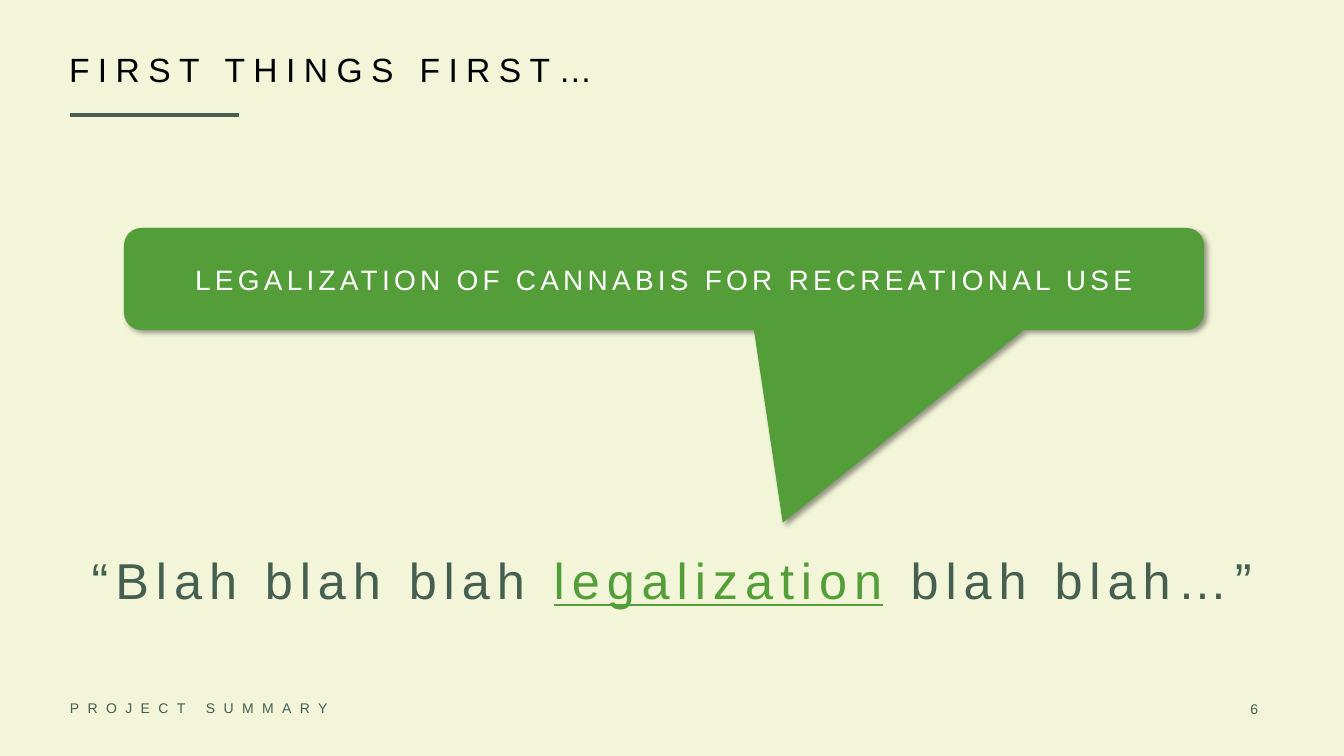
import pptx
import pptx.util
import pptx.dml.color
import pptx.enum.shapes
import pptx.enum.text
import lxml.etree

PX = 914400 / 100.8
SIZE = (1344, 756)
CREAM, GREEN, PINE, BLACK, WHITE = "F2F5D8", "549E39", "455F51", "000000", "FFFFFF"
ALIGN = pptx.enum.text.PP_ALIGN
ANCHOR = pptx.enum.text.MSO_ANCHOR
SHAPE = pptx.enum.shapes.MSO_SHAPE

TITLE = {
    "box": (59, 48, 1159, 54),
    "runs": [("FIRST THINGS FIRST…", BLACK)],
    "size": 24, "gap": 6, "anchor": ANCHOR.TOP,
    "para": {"alignment": ALIGN.LEFT, "line_spacing": 0.9},
}
CALLOUT = {
    "box": (124, 228, 1080, 102),
    "runs": [("LEGALIZATION OF CANNABIS FOR RECREATIONAL USE", WHITE)],
    "size": 20, "gap": 3, "anchor": ANCHOR.MIDDLE,
    "para": {"alignment": ALIGN.CENTER},
}
POINTER = (0.11, 2.39, 0.17)
NOTES = [
    {
        "box": (61, 514, 1222, 91),
        "runs": [("“Blah blah blah ", PINE), ("legalization", GREEN), (" blah blah…”", PINE)],
        "size": 36, "gap": 5, "anchor": ANCHOR.TOP,
        "para": {"alignment": ALIGN.CENTER, "line_spacing": 1.5},
    },
    {
        "box": (60, 693, 454, 29),
        "runs": [("PROJECT SUMMARY", PINE)],
        "size": 10, "gap": 6, "anchor": ANCHOR.MIDDLE,
        "para": {"alignment": ALIGN.LEFT},
    },
    {
        "box": (1167, 694, 101, 29),
        "runs": [("6", PINE)],
        "size": 10, "gap": 6, "anchor": ANCHOR.MIDDLE,
        "para": {"alignment": ALIGN.RIGHT},
    },
]
RULE = (70, 115, 239, 115)
SHADOW = {"blur": 4, "dist": 3, "angle": 45, "alpha": 40}


def emu(*lengths):
    return [round(n * PX) for n in lengths]


def color(code):
    return pptx.dml.color.RGBColor.from_string(code)


def apply(target, values):
    for name, value in values.items():
        setattr(target, name, value)


def write(shape, item):
    frame = shape.text_frame
    apply(frame, {
        "word_wrap": True,
        "auto_size": pptx.enum.text.MSO_AUTO_SIZE.NONE,
        "vertical_anchor": item["anchor"],
    })
    para = frame.paragraphs[0]
    apply(para, item["para"])
    for text, code in item["runs"]:
        run = para.add_run()
        run.text = text
        apply(run.font, {
            "name": "Arial",
            "size": pptx.util.Pt(item["size"]),
            "underline": code == GREEN,
        })
        run.font.color.rgb = color(code)
        run.font._element.set("spc", str(item["gap"] * 100))


def effects(shape):
    """Add an empty effect list, which turns off the theme shadow."""
    space = pptx.oxml.ns.qn("a:effectLst")
    return lxml.etree.SubElement(shape._element.spPr, space)


def shade(shape):
    qn = pptx.oxml.ns.qn
    outer = lxml.etree.SubElement(effects(shape), qn("a:outerShdw"), {
        "blurRad": str(pptx.util.Pt(SHADOW["blur"])),
        "dist": str(pptx.util.Pt(SHADOW["dist"])),
        "dir": str(SHADOW["angle"] * 60000),
        "algn": "tl", "rotWithShape": "0",
    })
    tint = lxml.etree.SubElement(outer, qn("a:srgbClr"), val=BLACK)
    lxml.etree.SubElement(tint, qn("a:alpha"), val=str(SHADOW["alpha"] * 1000))


def main():
    deck = pptx.Presentation()
    deck.slide_width, deck.slide_height = emu(*SIZE)
    slide = deck.slides.add_slide(deck.slide_layouts[5])
    slide.background.fill.solid()
    slide.background.fill.fore_color.rgb = color(CREAM)

    title = slide.shapes.title
    apply(title, dict(zip(("left", "top", "width", "height"), emu(*TITLE["box"]))))
    write(title, TITLE)

    callout = slide.shapes.add_shape(SHAPE.ROUNDED_RECTANGULAR_CALLOUT, *emu(*CALLOUT["box"]))
    for i, value in enumerate(POINTER):
        callout.adjustments[i] = value
    callout.fill.solid()
    callout.fill.fore_color.rgb = color(GREEN)
    callout.line.fill.background()
    shade(callout)
    write(callout, CALLOUT)

    rule = slide.shapes.add_connector(pptx.enum.shapes.MSO_CONNECTOR.STRAIGHT, *emu(*RULE))
    rule.line.color.rgb = color(PINE)
    rule.line.width = pptx.util.Pt(3)
    effects(rule)

    for note in NOTES:
        write(slide.shapes.add_textbox(*emu(*note["box"])), note)
    deck.save("out.pptx")


if __name__ == "__main__":
    main()
